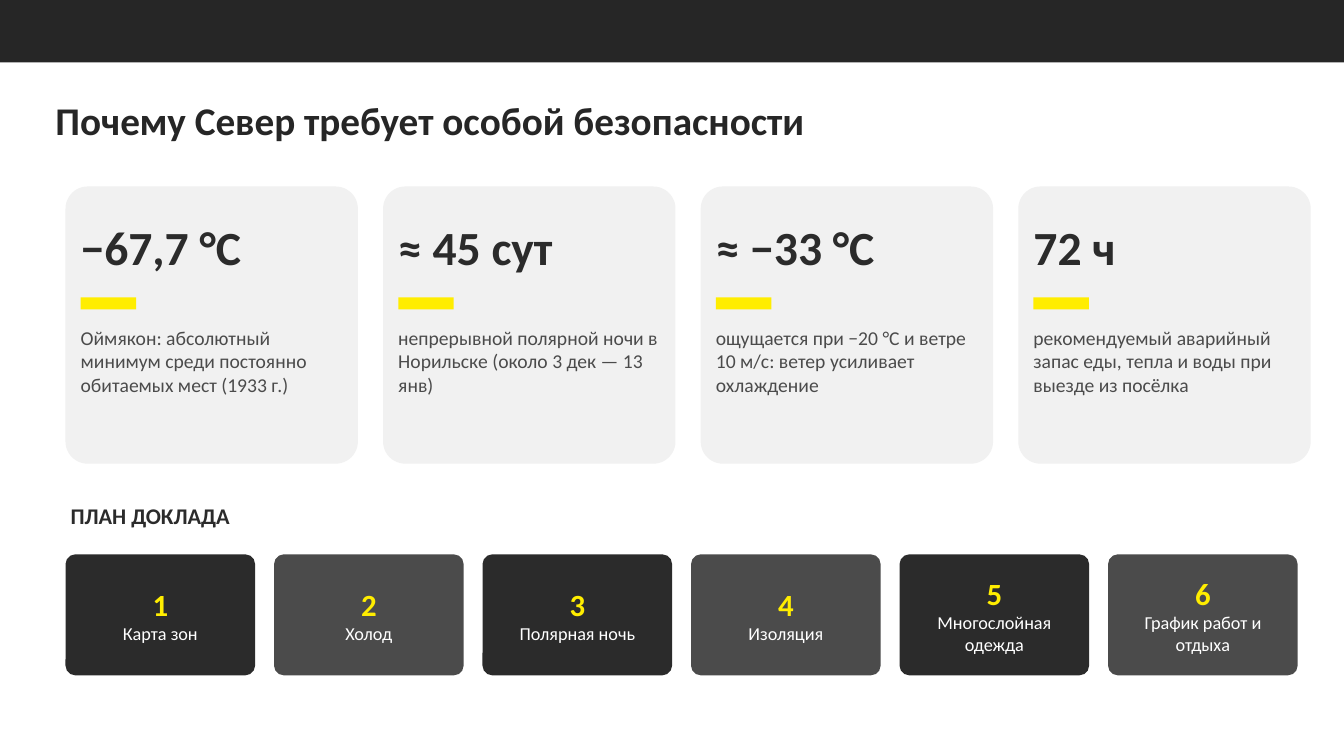
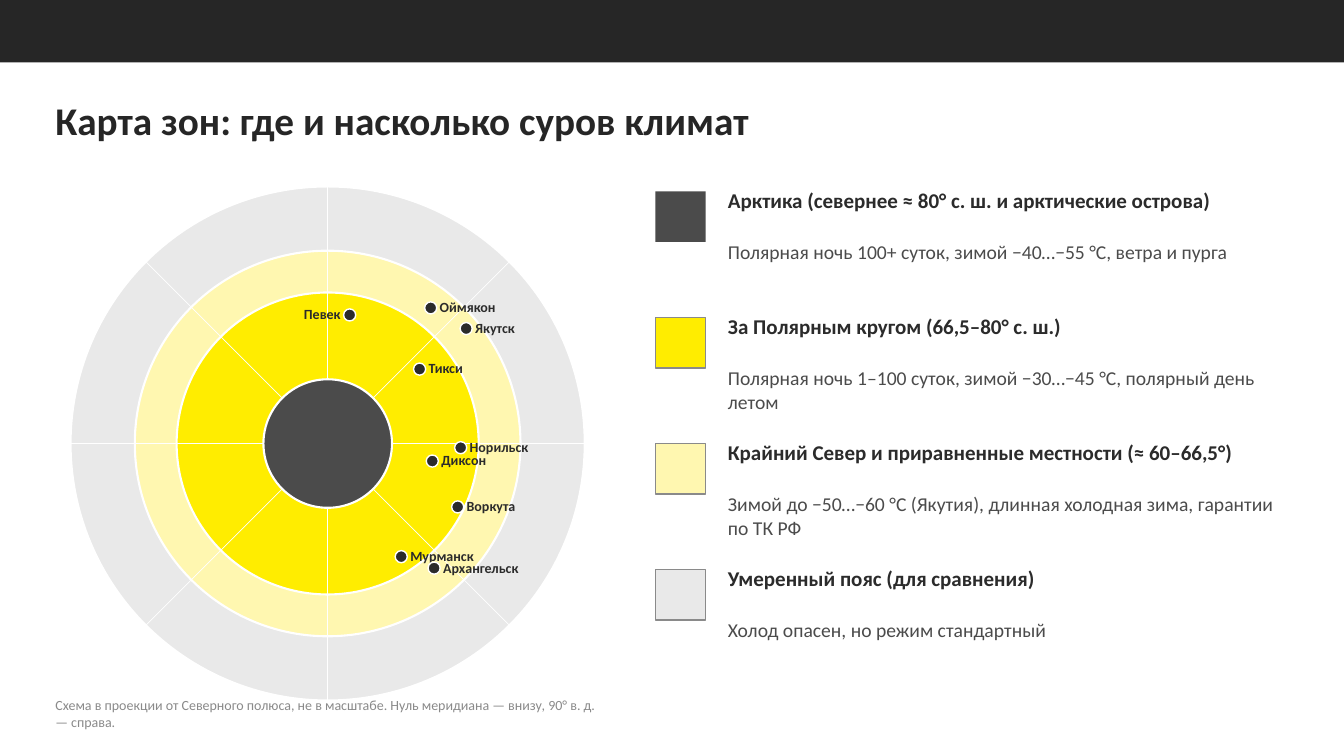
from math import cos, radians, sin

from pptx import Presentation
from pptx.dml.color import RGBColor
from pptx.enum import shapes, text
from pptx.oxml.ns import qn
from pptx.util import Inches, Pt
from lxml import etree

FONT = "Calibri"
BAND = RGBColor(0x26, 0x26, 0x26)
INK = RGBColor(0x2B, 0x2B, 0x2B)
SLATE = RGBColor(0x4B, 0x4B, 0x4B)
GREY = RGBColor(0x8A, 0x8A, 0x8A)
PALE = RGBColor(0xE9, 0xE9, 0xE9)
CARD = RGBColor(0xF1, 0xF1, 0xF1)
GOLD = RGBColor(0xFF, 0xED, 0x00)
CREAM = RGBColor(0xFF, 0xF7, 0xB0)
WHITE = RGBColor(0xFF, 0xFF, 0xFF)

KIND = shapes.MSO_SHAPE
ALIGN = text.PP_ALIGN
ANCHOR = text.MSO_ANCHOR


def draw(slide, kind, box, fill, line=None, width=1):
    shape = slide.shapes.add_shape(kind, *map(Inches, box))
    shape.shadow.inherit = False
    shape.fill.solid()
    shape.fill.fore_color.rgb = fill
    if line is None:
        shape.line.fill.background()
    else:
        shape.line.color.rgb = line
        shape.line.width = Pt(width)
    return shape


def write(slide, box, words, size, color, bold=False, side=0.05,
          anchor=ANCHOR.TOP, align=ALIGN.LEFT):
    frame = slide.shapes.add_textbox(*map(Inches, box)).text_frame
    frame.word_wrap = True
    frame.auto_size = text.MSO_AUTO_SIZE.SHAPE_TO_FIT_TEXT
    frame.vertical_anchor = anchor
    frame.margin_left = frame.margin_right = Inches(side)
    frame.margin_top = frame.margin_bottom = Inches(0.03)
    frame.text = words
    para = frame.paragraphs[0]
    para.alignment = align
    font = para.runs[0].font
    font.name, font.size, font.bold = FONT, Pt(size), bold
    font.color.rgb = color


deck = Presentation()
deck.slide_width, deck.slide_height = Inches(13.33), Inches(7.5)

# Titles and top bands
pages = []
for head in ("Почему Север требует особой безопасности",
             "Карта зон: где и насколько суров климат"):
    page = deck.slides.add_slide(deck.slide_layouts[5])
    title = page.shapes.title
    title.left, title.top = Inches(0.45), Inches(0.84)
    title.width, title.height = Inches(11.5), Inches(0.75)
    frame = title.text_frame
    frame.text = head
    frame.auto_size = text.MSO_AUTO_SIZE.NONE
    frame.vertical_anchor = ANCHOR.MIDDLE
    para = frame.paragraphs[0]
    para.alignment, para.line_spacing = ALIGN.LEFT, 0.9
    font = para.runs[0].font
    font.name, font.size, font.bold = FONT, Pt(28), True
    font.color.rgb = BAND
    draw(page, KIND.RECTANGLE, (0, 0, 13.33, 0.62), BAND)
    pages.append(page)
facts, zones = pages

# Fact cards
cards = [
    ("−67,7 °C",
     "Оймякон: абсолютный минимум среди постоянно обитаемых мест (1933 г.)"),
    ("≈ 45 сут",
     "непрерывной полярной ночи в Норильске (около 3 дек — 13 янв)"),
    ("≈ −33 °C",
     "ощущается при −20 °C и ветре 10 м/с: ветер усиливает охлаждение"),
    ("72 ч",
     "рекомендуемый аварийный запас еды, тепла и воды при выезде из посёлка"),
]
for i, (value, note) in enumerate(cards):
    left = 0.65 + 3.15 * i
    card = draw(facts, KIND.ROUNDED_RECTANGLE, (left, 1.85, 2.9, 2.75), CARD)
    card.adjustments[0] = 0.08
    write(facts, (left + 0.1, 2, 2.7, 0.9), value, 34, INK, True,
          anchor=ANCHOR.MIDDLE)
    draw(facts, KIND.RECTANGLE, (left + 0.15, 2.95, 0.55, 0.12), GOLD)
    write(facts, (left + 0.1, 3.2, 2.7, 1.3), note, 14, SLATE)

# Plan of the talk
write(facts, (0.65, 4.95, 6, 0.4), "ПЛАН ДОКЛАДА", 16, INK, True)
plan = ["Карта зон", "Холод", "Полярная ночь", "Изоляция",
        "Многослойная одежда", "График работ и отдыха"]
wide = 1.88
gap = (12.22 - wide * len(plan)) / (len(plan) - 1)
for i, topic in enumerate(plan):
    tile = draw(facts, KIND.ROUNDED_RECTANGLE,
                (0.65 + i * (wide + gap), 5.5, wide, 1.2),
                SLATE if i % 2 else INK)
    tile.adjustments[0] = 0.08
    frame = tile.text_frame
    frame.word_wrap = True
    frame.vertical_anchor = ANCHOR.MIDDLE
    frame.margin_left = frame.margin_right = Inches(0.06)
    frame.margin_top = frame.margin_bottom = Inches(0.03)
    frame.text = f"{i + 1}\n{topic}"
    looks = [(22, GOLD, True), (13, WHITE, False)]
    for para, (size, color, bold) in zip(frame.paragraphs, looks):
        para.alignment = ALIGN.CENTER
        font = para.runs[0].font
        font.name, font.size, font.bold = FONT, Pt(size), bold
        font.color.rgb = color

# Polar map: distance from the pole grows evenly with falling latitude
MID_X, MID_Y = 3.25, 4.4
SCALE = 2.55 / 40
for lat, color in [(50, PALE), (60, CREAM), (66.5, GOLD), (80, SLATE)]:
    far = (90 - lat) * SCALE
    draw(zones, KIND.OVAL, (MID_X - far, MID_Y - far, 2 * far, 2 * far),
         color, WHITE, 1.5)

for lon in range(0, 360, 45):
    ends = []
    for lat in (80, 50):
        far = (90 - lat) * SCALE
        ends += [Inches(MID_X + far * sin(radians(lon))),
                 Inches(MID_Y + far * cos(radians(lon)))]
    spoke = zones.shapes.add_connector(shapes.MSO_CONNECTOR.STRAIGHT, *ends)
    spoke.line.color.rgb = WHITE
    spoke.line.width = Pt(0.5)
    etree.SubElement(spoke._element.spPr, qn("a:effectLst"))

towns = [
    ("Мурманск", 69, 33), ("Архангельск", 64.5, 40.5),
    ("Воркута", 67.5, 64), ("Диксон", 73.5, 80.5),
    ("Норильск", 69.3, 88.2), ("Тикси", 71.6, 129),
    ("Якутск", 62, 129.7), ("Оймякон", 63.5, 142.8),
    ("Певек", 69.7, 170.3),
]
DOT = 0.12
for name, lat, lon in towns:
    far = (90 - lat) * SCALE
    left = MID_X + far * sin(radians(lon)) - DOT / 2
    top = MID_Y + far * cos(radians(lon)) - DOT / 2
    draw(zones, KIND.OVAL, (left, top, DOT, DOT), INK, WHITE)
    span = 0.1 + 0.08 * len(name)
    if name == "Певек":
        start, align = left - 0.01 - span, ALIGN.RIGHT
    else:
        start, align = left + DOT + 0.01, ALIGN.LEFT
    write(zones, (start, top - 0.06, span, 0.24), name, 10, INK, True,
          side=0.02, align=align)

write(zones, (0.5, 6.88, 5.5, 0.3),
      "Схема в проекции от Северного полюса, не в масштабе. "
      "Нуль меридиана — внизу, 90° в. д. — справа.", 10, GREY)

# Legend
legend = [
    (SLATE, None, "Арктика (севернее ≈ 80° с. ш. и арктические острова)",
     "Полярная ночь 100+ суток, зимой −40…−55 °C, ветра и пурга"),
    (GOLD, GREY, "За Полярным кругом (66,5–80° с. ш.)",
     "Полярная ночь 1–100 суток, зимой −30…−45 °C, полярный день летом"),
    (CREAM, GREY, "Крайний Север и приравненные местности (≈ 60–66,5°)",
     "Зимой до −50…−60 °C (Якутия), длинная холодная зима, "
     "гарантии по ТК РФ"),
    (PALE, GREY, "Умеренный пояс (для сравнения)",
     "Холод опасен, но режим стандартный"),
]
for i, (color, edge, zone, note) in enumerate(legend):
    top = 1.9 + 1.25 * i
    draw(zones, KIND.RECTANGLE, (6.5, top, 0.5, 0.5), color, edge)
    write(zones, (7.2, top - 0.07, 5.5, 0.35), zone, 15, INK, True, side=0.02)
    write(zones, (7.2, top + 0.45, 5.5, 0.65), note, 14, SLATE, side=0.02)

deck.save("out.pptx")
